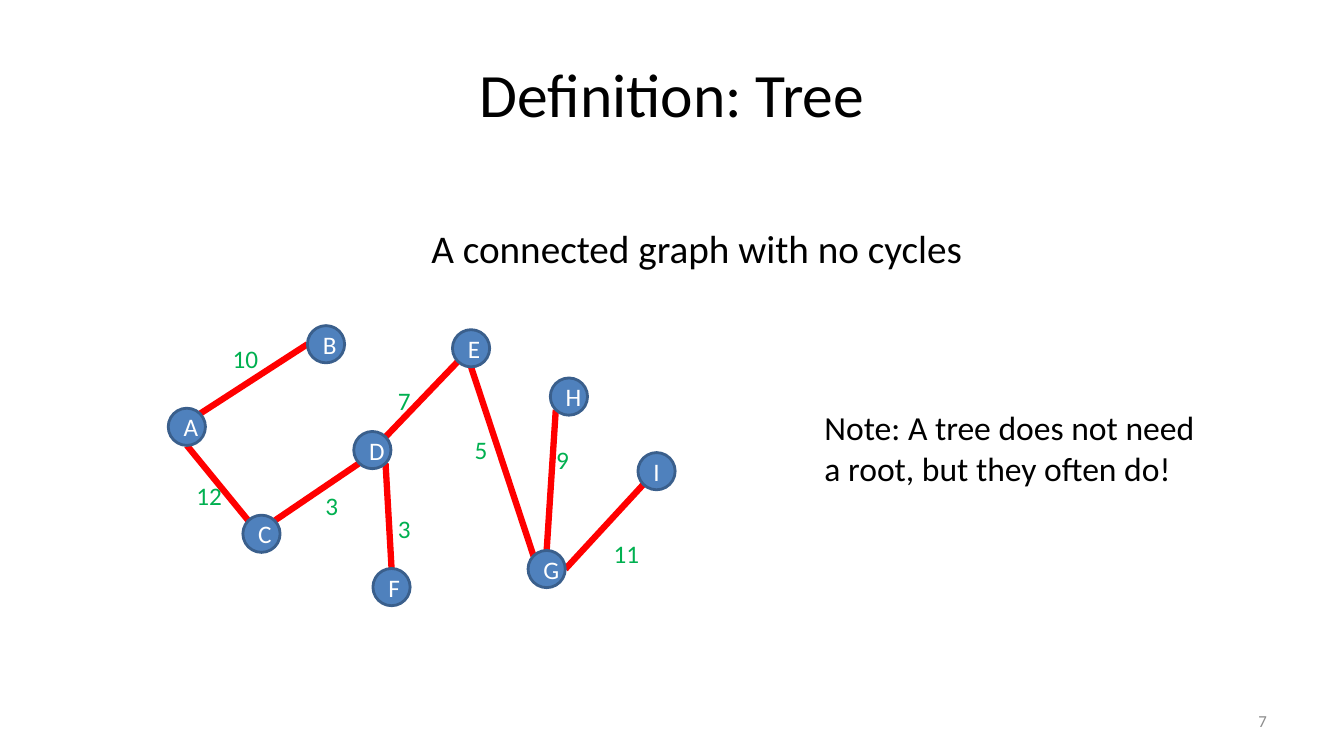
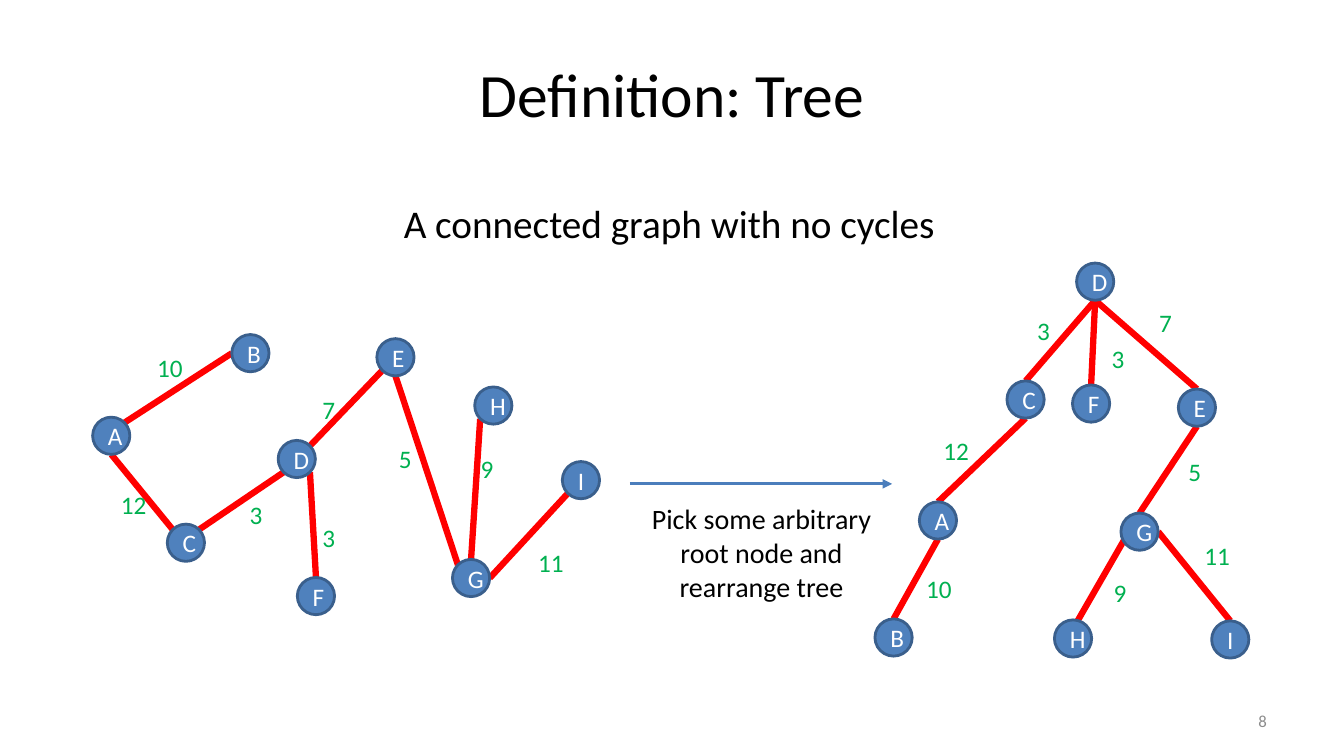
from lxml import etree
from pptx import Presentation
from pptx.dml.color import RGBColor
from pptx.enum.shapes import MSO_CONNECTOR, MSO_SHAPE
from pptx.enum.text import MSO_ANCHOR, PP_ALIGN
from pptx.oxml.ns import qn
from pptx.util import Pt

LEFT, CENTER, RIGHT = PP_ALIGN.LEFT, PP_ALIGN.CENTER, PP_ALIGN.RIGHT
MIDDLE, TOP = MSO_ANCHOR.MIDDLE, MSO_ANCHOR.TOP
STRAIGHT, OVAL = MSO_CONNECTOR.STRAIGHT, MSO_SHAPE.OVAL

COLORS = {
    "text": "000000",
    "page_number": "8C8C8C",
    "node": "4F81BD",
    "node_line": "3A5F8C",
    "node_text": "FFFFFF",
    "edge": "FF0000",
    "weight": "00B050",
    "arrow": "4B7EBC",
}
FONT = "Calibri"
TITLE_ONLY = 5
NODE_SIZE = 26.6
DIAGONAL = 0.5 ** 0.5

# Directions from the centre of a node to a point on its rim
RIM = {
    "n": (0, -1), "s": (0, 1), "e": (1, 0), "w": (-1, 0),
    "ne": (DIAGONAL, -DIAGONAL), "nw": (-DIAGONAL, -DIAGONAL),
    "se": (DIAGONAL, DIAGONAL), "sw": (-DIAGONAL, DIAGONAL),
}

# Nodes: left and top within the graph's box.
# Edges: start node, rim point, end node, rim point, weight, weight position.
FREE_TREE = {
    "nodes": {
        "A": (0, 59), "B": (99.4, 0), "C": (53.3, 135.4),
        "D": (132.5, 75.6), "E": (203, 2.9), "F": (146.2, 173.5),
        "G": (257, 160.6), "H": (272.9, 37.4), "I": (335.5, 90.7),
    },
    "edges": [
        ("A", "ne", "B", "w", "10", (38.9, 9.4)),
        ("A", "s", "C", "nw", "12", (13, 106.6)),
        ("D", "sw", "C", "ne", "3", (105.1, 113.8)),
        ("D", "se", "F", "n", "3", (157, 130.3)),
        ("D", "ne", "E", "sw", "7", (157, 38.9)),
        ("G", "nw", "E", "s", "5", (211.7, 74.2)),
        ("G", "n", "H", "sw", "9", (270, 81.4)),
        ("I", "sw", "G", "e", "11", (311, 148.3)),
    ],
}
ROOTED_TREE = {
    "nodes": {
        "A": (31.7, 170.6), "B": (0, 254.2), "C": (94.3, 84.2),
        "D": (144, 0), "E": (216.7, 90), "F": (141.1, 87.1),
        "G": (175.7, 178.6), "H": (128.2, 254.9), "I": (240.5, 255.6),
    },
    "edges": [
        ("A", "s", "B", "n", "10", (29.5, 218.2)),
        ("A", "n", "C", "s", "12", (41.8, 119.5)),
        ("D", "s", "C", "n", "3", (108.7, 33.8)),
        ("D", "s", "F", "n", "3", (162, 54)),
        ("D", "s", "E", "n", "7", (195.8, 28.1)),
        ("G", "n", "E", "s", "5", (216.7, 134.6)),
        ("G", "n", "H", "sw", "9", (163.4, 221)),
        ("I", "n", "G", "e", "11", (228.2, 194.4)),
    ],
}


def color(name):
    return RGBColor.from_string(COLORS[name])


def write(shape, text, size, color_name="text", align=LEFT, anchor=TOP):
    frame = shape.text_frame
    frame.text = text
    frame.vertical_anchor = anchor
    paragraph = frame.paragraphs[0]
    paragraph.alignment = align
    font = paragraph.runs[0].font
    font.name, font.size = FONT, Pt(size)
    font.color.rgb = color(color_name)


def add_text(shapes, box, text, size, color_name="text", align=LEFT,
             anchor=TOP, wrap=True):
    shape = shapes.add_textbox(*map(Pt, box))
    shape.text_frame.word_wrap = wrap
    write(shape, text, size, color_name, align, anchor)


def add_line(shapes, start, end, color_name, width):
    line = shapes.add_connector(STRAIGHT, *map(Pt, (*start, *end)))
    line.line.color.rgb = color(color_name)
    line.line.width = Pt(width)
    etree.SubElement(line._element.spPr, qn("a:effectLst"))
    return line


def add_arrow(shapes, start, end):
    arrow = add_line(shapes, start, end, "arrow", 2.25)
    outline = arrow.line._get_or_add_ln()
    etree.SubElement(outline, qn("a:tailEnd"), type="triangle")


def add_node(shapes, left, top, name):
    node = shapes.add_shape(OVAL, Pt(left), Pt(top), Pt(NODE_SIZE), Pt(NODE_SIZE))
    node.shadow.inherit = False
    node.fill.solid()
    node.fill.fore_color.rgb = color("node")
    node.line.color.rgb = color("node_line")
    node.line.width = Pt(2)
    write(node, name, 18, "node_text", CENTER, MIDDLE)


def add_graph(slide, left, top, graph):
    """Draw edges, then weights, then nodes, from the box's top left corner."""
    shapes = slide.shapes.add_group_shape().shapes
    nodes = {name: (left + x, top + y) for name, (x, y) in graph["nodes"].items()}
    radius = NODE_SIZE / 2

    def rim_point(name, direction):
        return [corner + radius * (1 + step)
                for corner, step in zip(nodes[name], RIM[direction])]

    for start, start_side, end, end_side, _, _ in graph["edges"]:
        add_line(shapes, rim_point(start, start_side), rim_point(end, end_side),
                 "edge", 4.5)
    for *_, weight, (x, y) in graph["edges"]:
        box = (left + x, top + y, 14.4 + 9.2 * len(weight), 29)
        add_text(shapes, box, weight, 18, "weight", wrap=False)
    for name, (x, y) in nodes.items():
        add_node(shapes, x, y, name)


def add_definition_slide(presentation, number, definition_left, definition_top):
    """Add a slide with the shared title, definition and page number."""
    slide = presentation.slides.add_slide(presentation.slide_layouts[TITLE_ONLY])
    title = slide.shapes.title
    title.left, title.top, title.width, title.height = map(Pt, (48, 21.6, 864, 90))
    write(title, "Definition: Tree", 44, align=CENTER, anchor=MIDDLE)
    add_text(slide.shapes, (688, 500.5, 224, 28.8), str(number), 12,
             "page_number", RIGHT, MIDDLE)
    add_text(slide.shapes, (definition_left, definition_top, 538.6, 41),
             "A connected graph with no cycles", 28)
    return slide


def add_free_tree_slide(presentation):
    slide = add_definition_slide(presentation, 7, 301, 156.4)
    add_graph(slide, 120.2, 232.6, FREE_TREE)
    add_text(slide.shapes, (581.8, 287.3, 293.8, 65.5),
             "Note: A tree does not need a root, but they often do!", 24)


def add_rooted_tree_slide(presentation):
    slide = add_definition_slide(presentation, 8, 281.3, 139)
    add_graph(slide, 66.2, 239, FREE_TREE)
    add_arrow(slide.shapes, (450, 345.6), (637.2, 345.6))
    add_text(slide.shapes, (456.5, 355, 175, 80),
             "Pick some arbitrary root node and rearrange tree", 20, align=CENTER)
    add_graph(slide, 625, 187.9, ROOTED_TREE)


def main():
    presentation = Presentation()
    presentation.slide_width, presentation.slide_height = Pt(960), Pt(540)
    add_free_tree_slide(presentation)
    add_rooted_tree_slide(presentation)
    presentation.save("out.pptx")


if __name__ == "__main__":
    main()
